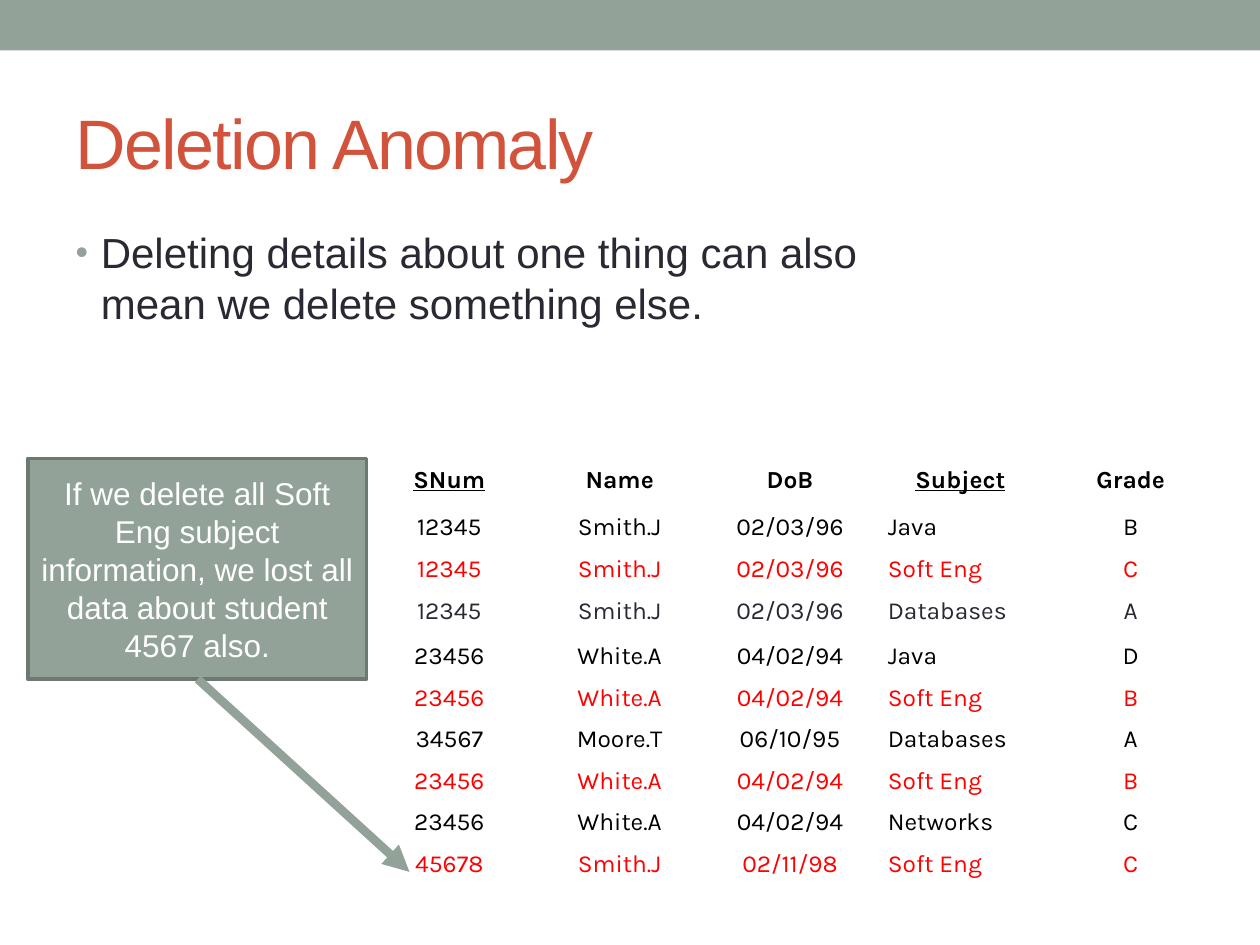
from pptx import Presentation
from pptx.util import Inches, Pt
from pptx.dml.color import RGBColor
from pptx.enum.shapes import MSO_SHAPE, MSO_CONNECTOR
from pptx.enum.text import PP_ALIGN, MSO_ANCHOR
from pptx.oxml.ns import qn
from lxml import etree

LEFT, CENTER = PP_ALIGN.LEFT, PP_ALIGN.CENTER
SAGE, INK, BLACK, RED = "93A299", "292934", "000000", "FF0000"


def rgb(value):
    return RGBColor.from_string(value)


def style(p, size, color, align=LEFT, name="Arial"):
    p.alignment = align
    p.font.name, p.font.size = name, Pt(size)
    p.font.color.rgb = rgb(color)


prs = Presentation()
prs.slide_width, prs.slide_height = Inches(10), Inches(7.5)
s = prs.slides.add_slide(prs.slide_layouts[1])

# Top band
band = s.shapes.add_shape(MSO_SHAPE.RECTANGLE, 0, 0, Inches(10), Inches(0.4))
band.shadow.inherit = False
band.fill.solid()
band.fill.fore_color.rgb = rgb(SAGE)
band.line.fill.background()

# Title
title = s.shapes.title
title.left, title.top, title.width, title.height = map(Inches, (0.5, 0.58, 9, 1.08))
title.text_frame.text = "Deletion Anomaly"
p = title.text_frame.paragraphs[0]
style(p, 40, "D2533C")
p.runs[0].font._element.set("spc", "-100")

# Bullet list
body = s.placeholders[1]
body.left, body.top, body.width, body.height = map(Inches, (0.5, 1.75, 6.54, 5.33))
body.text_frame.text = "Deleting details about one thing can also mean we delete something else."
p = body.text_frame.paragraphs[0]
style(p, 24, INK)
pPr = p._p.get_or_add_pPr()
pPr.set("marL", str(Inches(0.2)))
pPr.set("indent", str(Inches(-0.2)))
bullet_color = etree.Element(qn("a:buClr"))
etree.SubElement(bullet_color, qn("a:srgbClr"), val=SAGE)
bullet_size = etree.Element(qn("a:buSzPct"), val="85000")
bullet_char = etree.Element(qn("a:buChar"), char="•")
for i, el in enumerate((bullet_color, bullet_size, bullet_char)):
    pPr.insert(i, el)

# Student table: text colour, then the cells of each row
rows = [
    (BLACK, "SNum", "Name", "DoB", "Subject", "Grade"),
    (BLACK, "12345", "Smith.J", "02/03/96", "Java", "B"),
    (RED, "12345", "Smith.J", "02/03/96", "Soft Eng", "C"),
    (INK, "12345", "Smith.J", "02/03/96", "Databases", "A"),
    (BLACK, "23456", "White.A", "04/02/94", "Java", "D"),
    (RED, "23456", "White.A", "04/02/94", "Soft Eng", "B"),
    (BLACK, "34567", "Moore.T", "06/10/95", "Databases", "A"),
    (RED, "23456", "White.A", "04/02/94", "Soft Eng", "B"),
    (BLACK, "23456", "White.A", "04/02/94", "Networks", "C"),
    (RED, "45678", "Smith.J", "02/11/98", "Soft Eng", "C"),
]
heights = {0: 0.38, 3: 0.36}
table = s.shapes.add_table(len(rows), 5, Inches(2.89), Inches(3.64),
                           Inches(6.76), Inches(3.38)).table
table.first_row = table.horz_banding = False
# "No Style, No Grid" table style
table._tbl.tblPr.find(qn("a:tableStyleId")).text = "{2D5ABB26-0587-4C30-8999-92F81FD0307C}"
for r, (color, *values) in enumerate(rows):
    table.rows[r].height = Inches(heights.get(r, 0.33))
    for c, value in enumerate(values):
        cell = table.cell(r, c)
        cell.fill.background()
        cell.margin_top, cell.margin_bottom = Inches(0.06), Inches(0.05)
        cell.text = value
        p = cell.text_frame.paragraphs[0]
        style(p, 14, color, LEFT if c == 3 and r else CENTER, "Karla")
        p.line_spacing, p.space_before = 0.96, Pt(8.8)
        p.font.bold = r == 0
        p.font.underline = value in ("SNum", "Subject")

# Callout
box = s.shapes.add_shape(MSO_SHAPE.RECTANGLE, Inches(0.22), Inches(3.64),
                         Inches(2.69), Inches(1.75))
box.shadow.inherit = False
box.fill.solid()
box.fill.fore_color.rgb = rgb(SAGE)
box.line.color.rgb = rgb("6D7871")
box.line.width = Pt(2.08)
tf = box.text_frame
tf.word_wrap = True
tf.vertical_anchor = MSO_ANCHOR.MIDDLE
tf.text = ("If we delete all Soft Eng subject information, "
           "we lost all data about student 4567 also.")
style(tf.paragraphs[0], 18, "FFFFFF", CENTER)

# Arrow to the lost student
arrow = s.shapes.add_connector(MSO_CONNECTOR.STRAIGHT, Inches(1.57), Inches(5.39),
                               Inches(3.25), Inches(6.92))
arrow.line.color.rgb = rgb(SAGE)
arrow.line.width = Pt(5)
etree.SubElement(arrow.line._get_or_add_ln(), qn("a:tailEnd"), type="triangle")
etree.SubElement(arrow._element.spPr, qn("a:effectLst"))

prs.save("out.pptx")
